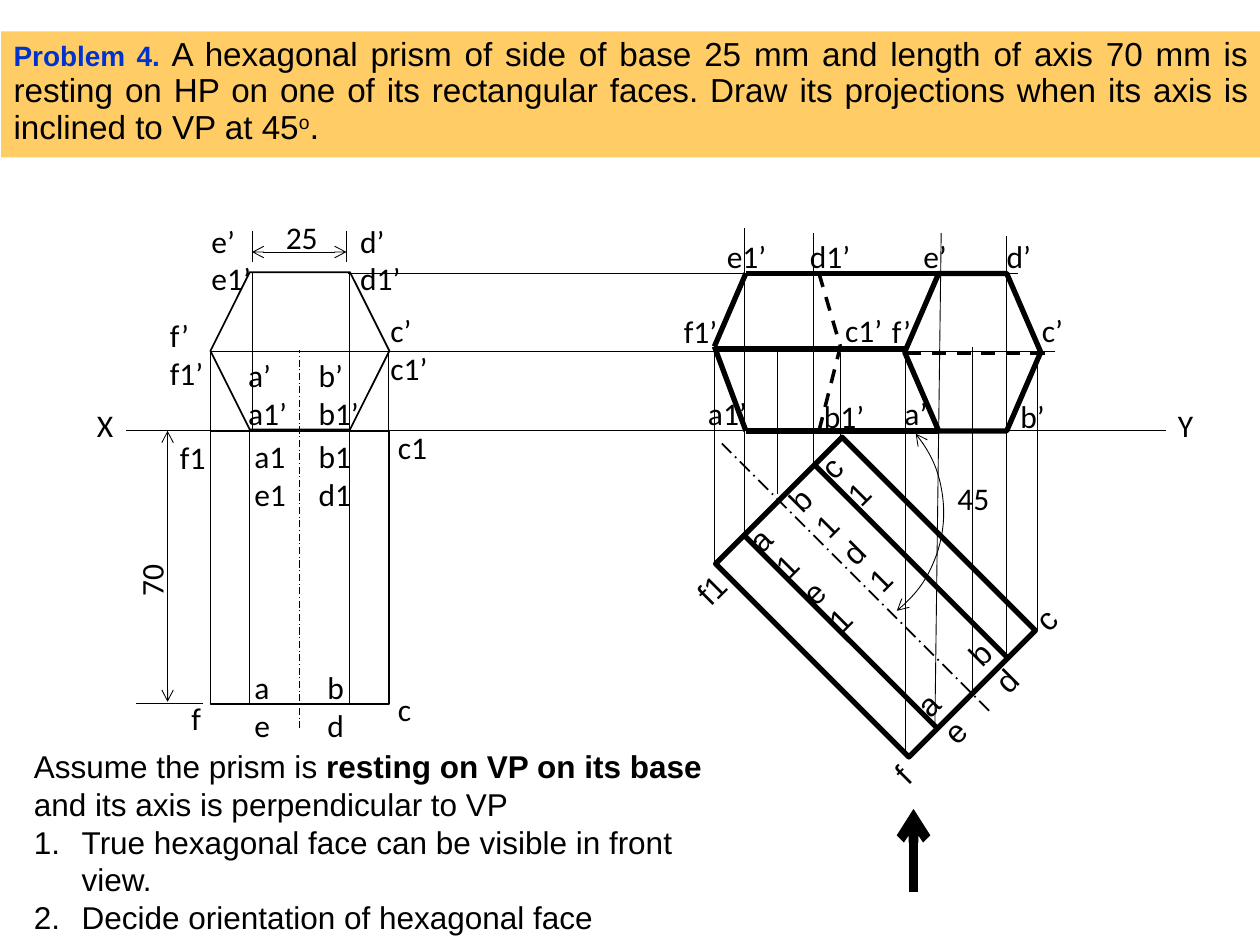
import math
from dataclasses import dataclass
from typing import NamedTuple, Optional

import lxml.etree
import pptx
import pptx.dml.color
import pptx.enum.dml
import pptx.enum.shapes
import pptx.enum.text
import pptx.oxml.ns
import pptx.util

qn = pptx.oxml.ns.qn
SHAPE = pptx.enum.shapes.MSO_SHAPE
DASH = pptx.enum.dml.MSO_LINE.DASH
AXIS = pptx.enum.dml.MSO_LINE.LONG_DASH_DOT


@dataclass(frozen=True)
class Theme:
    ink: str = "000000"
    banner: str = "FFCC66"
    heading: str = "0033CC"
    sans: str = "Arial"
    label: str = "Calibri"
    body_pt: float = 18
    heading_pt: float = 16
    problem_pt: float = 19
    stop_pt: float = 20
    thin: float = 0.5
    medium: float = 1
    hidden: float = 2
    bold: float = 3
    view_arrow: float = 5.5


class Line(NamedTuple):
    x1: float
    y1: float
    x2: float
    y2: float
    width: float = 0.5
    dash: Optional[int] = None
    ends: str = ""


class Label(NamedTuple):
    text: str
    x: float
    y: float
    w: float


class Turn(NamedTuple):
    """Rotation of a whole part about its centre, in degrees."""
    cx: float
    cy: float
    angle: float = -45

    def move(self, x: float, y: float) -> tuple[float, float]:
        a = math.radians(self.angle)
        dx, dy = x - self.cx, y - self.cy
        return (self.cx + dx * math.cos(a) - dy * math.sin(a),
                self.cy + dx * math.sin(a) + dy * math.cos(a))


T = Theme()
prs = pptx.Presentation()


def cm(inches: float) -> pptx.util.Length:
    return pptx.util.Cm(inches * 2.54)


prs.slide_width, prs.slide_height = cm(10), cm(7.5)
s = prs.slides.add_slide(prs.slide_layouts[6])


def rgb(value: str) -> pptx.dml.color.RGBColor:
    return pptx.dml.color.RGBColor.from_string(value)


def add_run(p, text: str, *, size: float = T.body_pt, font: str = T.sans,
            color: str = T.ink, bold: bool = False, base: int = 0) -> None:
    r = p.add_run()
    r.text = text
    r.font.size, r.font.name, r.font.bold = pptx.util.Pt(size), font, bold
    r.font.color.rgb = rgb(color)
    if base:
        r.font._element.set("baseline", str(base * 1000))


def add_arrows(line_parent, ends: str) -> None:
    ln = line_parent.line._get_or_add_ln()
    for end in ends.split():
        lxml.etree.SubElement(ln, qn(f"a:{end}"), type="arrow")


def draw_line(item: Line, turn: Optional[Turn] = None) -> None:
    start, stop = (item.x1, item.y1), (item.x2, item.y2)
    if turn:
        start, stop = turn.move(*start), turn.move(*stop)
    c = s.shapes.add_connector(pptx.enum.shapes.MSO_CONNECTOR.STRAIGHT,
                               *(cm(v) for v in start + stop))
    c.line.color.rgb = rgb(T.ink)
    c.line.width = pptx.util.Pt(item.width)
    if item.dash:
        c.line.dash_style = item.dash
    add_arrows(c, item.ends)
    lxml.etree.SubElement(c._element.spPr, qn("a:effectLst"))


def draw_shape(kind, x: float, y: float, w: float, h: float, *, fill: str = "",
               width: float = 0, rotation: float = 0):
    sp = s.shapes.add_shape(kind, cm(x), cm(y), cm(w), cm(h))
    sp.shadow.inherit = False
    sp.rotation = rotation
    if fill:
        sp.fill.solid()
        sp.fill.fore_color.rgb = rgb(fill)
    else:
        sp.fill.background()
    if width:
        sp.line.color.rgb = rgb(T.ink)
        sp.line.width = pptx.util.Pt(width)
    else:
        sp.line.fill.background()
    return sp


def draw_label(item: Label, *, font: str = T.label, turn: Optional[Turn] = None,
               rotation: float = 0) -> None:
    rows = item.text.split("/")
    h = 0.4 if len(rows) == 1 else 0.71
    x, y = item.x, item.y
    if turn:
        cx, cy = turn.move(x + item.w / 2, y + h / 2)
        x, y, rotation = cx - item.w / 2, cy - h / 2, turn.angle
    sp = s.shapes.add_textbox(cm(x), cm(y), cm(item.w), cm(h))
    sp.rotation = rotation
    tf = sp.text_frame
    tf.word_wrap = turn is not None  # slanted labels stack their characters
    if not turn:
        tf.auto_size = pptx.enum.text.MSO_AUTO_SIZE.SHAPE_TO_FIT_TEXT
    for i, row in enumerate(rows):
        p = tf.add_paragraph() if i else tf.paragraphs[0]
        add_run(p, row, font=font)


# Problem statement
sp = draw_shape(SHAPE.RECTANGLE, 0.01, 0.25, 10, 1, fill=T.banner)
sp.text_frame.vertical_anchor = pptx.enum.text.MSO_ANCHOR.TOP
p = sp.text_frame.paragraphs[0]
p.alignment = pptx.enum.text.PP_ALIGN.JUSTIFY
p.line_spacing = 0.9
add_run(p, "Problem 4. ", size=T.heading_pt, color=T.heading, bold=True)
add_run(p, "A hexagonal prism of side of base 25 mm and length of axis 70 mm is "
        "resting on HP on one of its rectangular faces. Draw its projections "
        "when its axis is inclined to VP at 45", size=T.problem_pt)
add_run(p, "o", size=T.problem_pt, base=30)
add_run(p, ".", size=T.stop_pt)

# Solution notes
tf = s.shapes.add_textbox(cm(0.17), cm(5.88), cm(5.75), cm(1.31)).text_frame
tf.word_wrap = True
p = tf.paragraphs[0]
add_run(p, "Assume the prism is ")
add_run(p, "resting on VP on its base ", bold=True)
add_run(p, "and its axis is perpendicular to VP")
for step in ("True hexagonal face can be visible in front view.",
             "Decide orientation of hexagonal face"):
    p = tf.add_paragraph()
    pPr = p._p.get_or_add_pPr()
    pPr.set("marL", str(cm(0.38)))
    pPr.set("indent", str(-cm(0.38)))
    lxml.etree.SubElement(pPr, qn("a:buAutoNum"), type="arabicPeriod")
    add_run(p, step)

# First position: hexagon in front view, rectangle in top view
draw_shape(SHAPE.HEXAGON, 1.67, 2.16, 1.42, 1.25, width=T.medium)
draw_shape(SHAPE.RECTANGLE, 1.67, 3.42, 1.42, 2.17, width=T.medium)
BOTH = "headEnd tailEnd"
for item in (
    Line(1, 3.42, 9.25, 3.42),
    Line(2.38, 5.78, 2.38, 2.78, dash=AXIS),
    Line(2, 2, 2.75, 2, ends=BOTH),
    Line(1.33, 3.42, 1.33, 5.57, ends=BOTH),
    Line(1.61, 5.58, 1.08, 5.58),
    Line(8.37, 2.79, 1.67, 2.79),
    Line(2.76, 2.17, 8.08, 2.17),
    *(Line(x, 3.42, x, 5.58) for x in (1.98, 2.77)),
    *(Line(x, 1.83, x, 2.08) for x in (2, 2.75)),
    *(Line(x, 2.79, x, 3.42) for x in (1.67, 3.08)),
    *(Line(x, 3.42, x, 2.17) for x in (2, 2.77)),
):
    draw_line(item)

# Second position: top view turned through 45 degrees
plan = Turn(6.79, 4.58)
px, py = plan.move(6.79, 4.805)
draw_shape(SHAPE.RECTANGLE, px - 0.71, py - 1.085, 1.42, 2.17,
           width=T.bold, rotation=plan.angle)
draw_line(Line(6.79, 6.08, 6.79, 3.08, T.medium, AXIS), plan)
for x in (6.4, 7.19):
    draw_line(Line(x, 3.72, x, 5.88, T.bold), plan)
arc = draw_shape(SHAPE.ARC, 5.49, 3.07, 2, 2, width=T.thin, rotation=51.1)
add_arrows(arc, BOTH)
draw_line(Line(7.25, 7.08, 7.25, 6.42, T.view_arrow, ends="tailEnd"))

# Projectors between the views
for x1, y1, x2, y2 in (
    (6.67, 3.47, 6.67, 2.8), (5.67, 4.47, 5.67, 2.72), (7.19, 6, 7.19, 2.75),
    (8.23, 5, 8.23, 2.75), (7.99, 5.21, 7.99, 1.87), (7.42, 5.77, 7.47, 1.85),
    (6.46, 3.69, 6.46, 1.85), (5.91, 4.25, 5.91, 1.81),
    (6.17, 3.92, 6.17, 2.75), (7.72, 5.5, 7.72, 2.75),
):
    draw_line(Line(x1, y1, x2, y2))

# Second position: front view
draw_shape(SHAPE.HEXAGON, 7.18, 2.17, 1.08, 1.25, width=T.bold)
for y in (2.17, 3.42):
    draw_line(Line(5.92, y, 5.67, 2.75, T.bold))
    draw_line(Line(5.92, y, 7.45, y, T.bold))
    draw_line(Line(6.5, y, 6.67, 2.75, T.hidden, DASH))
draw_line(Line(7.19, 2.77, 5.69, 2.77, T.bold))
draw_line(Line(7.2, 2.8, 8.29, 2.8, T.hidden, DASH))

# Upright labels: "/" starts a new row
for item in (
    Label("X", 0.67, 3.17, 0.33), Label("Y", 9.25, 3.17, 0.32),
    Label("25", 2.17, 1.68, 0.46), Label("45", 7.5, 3.75, 0.46),
    Label("a’/a1’", 1.87, 2.78, 0.51), Label("b’/b1’", 2.43, 2.78, 0.53),
    Label("c’/c1’", 3, 2.42, 0.5), Label("d’/d1’", 2.76, 1.71, 0.53),
    Label("e’/e1’", 1.58, 1.71, 0.52), Label("f’/f1’", 1.25, 2.46, 0.47),
    Label("f1", 1.33, 3.43, 0.41), Label("a1/e1", 1.92, 3.42, 0.46),
    Label("b1/d1", 2.43, 3.42, 0.46), Label("c1", 3.06, 3.35, 0.44),
    Label("f", 1.42, 5.5, 0.28), Label("a/e", 1.92, 5.25, 0.33),
    Label("b/d", 2.5, 5.25, 0.34), Label("c", 3.06, 5.43, 0.31),
    Label("f’", 6.98, 2.43, 0.36), Label("e’", 7.23, 1.83, 0.39),
    Label("d’", 7.89, 1.83, 0.4), Label("c’", 8.17, 2.42, 0.37),
    Label("a’", 7.08, 3.08, 0.39), Label("b’", 8, 3.1, 0.4),
    Label("f1’", 5.33, 2.43, 0.47), Label("e1’", 5.67, 1.83, 0.52),
    Label("d1’", 6.33, 1.83, 0.53), Label("c1’", 6.61, 2.42, 0.5),
    Label("a1’", 5.52, 3.08, 0.51), Label("b1’", 6.44, 3.1, 0.53),
):
    draw_label(item)
draw_label(Label("70", 0.97, 4.4, 0.46), rotation=270)

# Slanted labels at the two ends of the turned top view
for turn, labels in (
    (Turn(6.25, 4.27), (Label("f1", 5.33, 3.93, 0.41), Label("a1/e1", 5.92, 3.92, 0.46),
                        Label("b1/d1", 6.37, 3.92, 0.46), Label("c1", 6.73, 3.92, 0.44))),
    (Turn(7.69, 5.48), (Label("f", 6.71, 5.38, 0.28), Label("a/e", 7.21, 5.13, 0.33),
                        Label("b/d", 7.79, 5.13, 0.34), Label("c", 8.36, 5.31, 0.31))),
):
    for item in labels:
        draw_label(item, font=T.sans, turn=turn)

prs.save("out.pptx")
